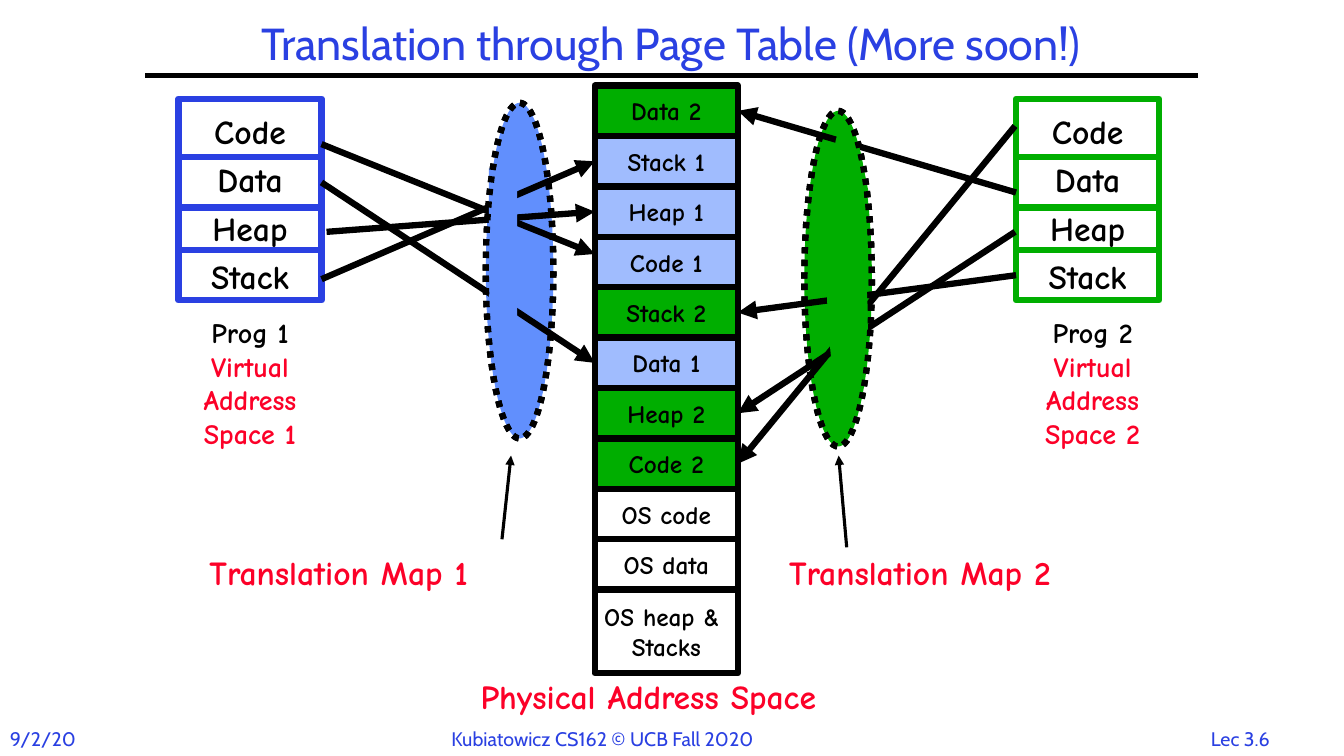
"""Build a slide on translating two virtual address spaces through page tables."""
from lxml import etree
from pptx import Presentation
from pptx.dml.color import RGBColor
from pptx.enum.dml import MSO_LINE
from pptx.enum.shapes import MSO_CONNECTOR, MSO_SHAPE
from pptx.enum.text import MSO_ANCHOR, MSO_AUTO_SIZE, PP_ALIGN
from pptx.oxml.ns import qn
from pptx.util import Inches, Pt

RECTANGLE, OVAL = MSO_SHAPE.RECTANGLE, MSO_SHAPE.OVAL
STRAIGHT = MSO_CONNECTOR.STRAIGHT
LEFT, CENTER = PP_ALIGN.LEFT, PP_ALIGN.CENTER
MIDDLE = MSO_ANCHOR.MIDDLE
FIT, FIXED = MSO_AUTO_SIZE.SHAPE_TO_FIT_TEXT, MSO_AUTO_SIZE.NONE
DOTTED = MSO_LINE.ROUND_DOT

BLACK, WHITE, RED = "000000", "FFFFFF", "FC0128"
BLUE, GREEN, MAP_BLUE, PALE_BLUE = "2A40E2", "00AE00", "618FFD", "A0BCFE"
HAND, SANS = "Comic Neue", "Cabin"

BOX_WIDTH = 1.42
MEMORY_LEFT, MEMORY_TOP, ROW = 5.9, 0.85, 0.5
MEMORY_RIGHT = MEMORY_LEFT + BOX_WIDTH
PROGRAM_TOP, PROGRAM_HEIGHT = 0.98, 2
MAP_WIDTH, MAP_HEIGHT = 0.67, 3.33


def paint(shape, fill=None, line=None, width=4.5, dash=None, arrow=False):
    """Set fill, outline and arrowhead from hex colours; fill '' means hollow."""
    if fill:
        shape.fill.solid()
        shape.fill.fore_color.rgb = RGBColor.from_string(fill)
    elif fill == "":
        shape.fill.background()
    if line:
        shape.line.color.rgb = RGBColor.from_string(line)
        shape.line.width = Pt(width)
    else:
        shape.line.fill.background()
    if dash:
        shape.line.dash_style = dash
    properties = shape._element.spPr
    if arrow:
        etree.SubElement(properties.find(qn("a:ln")), qn("a:tailEnd"), type="triangle")
    etree.SubElement(properties, qn("a:effectLst"))


def write(shape, text, size=24, font=HAND, bold=True, colors=(BLACK,), align=CENTER,
          spacing=None, anchor=None, fit=FIXED, wrap=False):
    """Write one paragraph per text line; the last colour serves all later lines."""
    frame = shape.text_frame
    frame.word_wrap, frame.auto_size = wrap, fit
    if anchor is not None:
        frame.vertical_anchor = anchor
    for index, line in enumerate(text.split("\n")):
        para = frame.add_paragraph() if index else frame.paragraphs[0]
        para.alignment, para.line_spacing = align, spacing
        span = para.add_run()
        span.text = line
        span.font.name, span.font.size, span.font.bold = font, Pt(size), bold
        span.font.color.rgb = RGBColor.from_string(colors[min(index, len(colors) - 1)])


deck = Presentation()
deck.slide_width, deck.slide_height = Inches(40 / 3), Inches(7.5)
page = deck.slides.add_slide(deck.slide_layouts[5])
shapes = page.shapes

title = shapes.title
title.left, title.top, title.width, title.height = map(Inches, (1.44, 0.17, 10.44, 0.58))
write(title, "Translation through Page Table (More soon!)", size=32, font=SANS, bold=False,
      colors=(BLUE,), spacing=0.9, anchor=MIDDLE, wrap=True)
rule = shapes.add_connector(STRAIGHT, *map(Inches, (1.44, 0.75, 11.89, 0.75)))
paint(rule, line=BLACK, width=3)

footers = [
    ("9/2/20", 0, 1, LEFT),
    ("Kubiatowicz CS162 © UCB Fall 2020", 4.38, 3.43, LEFT),
    ("Lec 3.6", 11.82, 0.97, CENTER),
]
for text, left, width, align in footers:
    footer = shapes.add_textbox(*map(Inches, (left, 7.16, width, 0.34)))
    write(footer, text, size=14, font=SANS, bold=False, colors=(BLUE,), align=align, fit=FIT)

translation_maps = [(7.98, 1.1, GREEN), (4.82, 1.02, MAP_BLUE)]
for left, top, color in translation_maps:
    oval = shapes.add_shape(OVAL, *map(Inches, (left, top, MAP_WIDTH, MAP_HEIGHT)))
    paint(oval, fill=color, line=BLACK, dash=DOTTED)

for number, left, label_left, color in [(1, 1.77, 1.82, BLUE), (2, 10.08, 10.18, GREEN)]:
    label = shapes.add_textbox(*map(Inches, (label_left, 3.08, 1.32, 1.45)))
    write(label, f"Prog {number}\nVirtual\nAddress\nSpace {number}", size=20,
          colors=(BLACK, RED), fit=FIT)
    program = shapes.add_group_shape().shapes
    box = program.add_shape(RECTANGLE, *map(Inches, (left, PROGRAM_TOP, BOX_WIDTH, PROGRAM_HEIGHT)))
    paint(box, fill=WHITE, line=color)
    write(box, "Code\nData\nHeap\nStack", spacing=1.2, anchor=MIDDLE)
    for y in (1.56, 2.06, 2.48):
        divider = program.add_connector(STRAIGHT, *map(Inches, (left, y, left + BOX_WIDTH, y)))
        paint(divider, line=color)

memory = shapes.add_group_shape().shapes
memory_rows = ["Data 2", "Stack 1", "Heap 1", "Code 1", "Stack 2", "Data 1", "Heap 2",
               "Code 2", "OS code", "OS data", "OS heap & \nStacks"]
owner_colors = {"1": PALE_BLUE, "2": GREEN}
for index, text in enumerate(memory_rows):
    height = 0.83 if "\n" in text else ROW
    cell = memory.add_shape(RECTANGLE, *map(Inches, (
        MEMORY_LEFT, MEMORY_TOP + index * ROW, BOX_WIDTH, height)))
    paint(cell, fill=owner_colors.get(text[-1], WHITE), line=BLACK)
    write(cell, text, size=18, anchor=MIDDLE)

mappings = [
    (3.19, 1.43, MEMORY_LEFT, 3.34),
    (3.19, 1.81, MEMORY_LEFT, 5.5),
    (3.24, 2.3, MEMORY_LEFT, 2.5),
    (3.19, 2.77, MEMORY_LEFT, 1.5),
    (10.07, 1.25, MEMORY_RIGHT, 7.5),
    (10.08, 1.91, MEMORY_RIGHT, 0.5),
    (10.07, 2.3, MEMORY_RIGHT, 6.5),
    (10.08, 2.73, MEMORY_RIGHT, 4.5),
]
for start_x, start_y, end_x, row in mappings:
    arrow = shapes.add_connector(STRAIGHT, *map(Inches, (
        start_x, start_y, end_x, MEMORY_TOP + row * ROW)))
    paint(arrow, line=BLACK, arrow=True)

covers = [
    (RECTANGLE, 4.85, 1.67, 0.28, 1.5, 0, MAP_BLUE),
    (RECTANGLE, 8.4, 1.43, 0.17, 0.5, 348.5, GREEN),
    (OVAL, 8.2, 1.2, 0.37, 2.83, 0, GREEN),
    (OVAL, 8.29, 2.3, 0.32, 1.83, 0, GREEN),
]
for kind, left, top, width, height, angle, color in covers:
    cover = shapes.add_shape(kind, *map(Inches, (left, top, width, height)))
    cover.rotation = angle
    paint(cover, fill=color)

for left, top, color in translation_maps:
    outline = shapes.add_shape(OVAL, *map(Inches, (left, top, MAP_WIDTH, MAP_HEIGHT)))
    paint(outline, fill="", line=BLACK, dash=DOTTED)

captions = [
    ("Translation Map 1", 1.98, 5.43, 3.15),
    ("Translation Map 2", 7.73, 5.43, 3.15),
    ("Physical Address Space", 4.67, 6.66, 4.08),
]
for text, left, top, width in captions:
    caption = shapes.add_textbox(*map(Inches, (left, top, width, 0.5)))
    write(caption, text, colors=(RED,), align=LEFT, fit=FIT)

for ends in [(4.98, 5.35, 5.07, 4.52), (8.4, 5.43, 8.32, 4.52)]:
    pointer = shapes.add_connector(STRAIGHT, *map(Inches, ends))
    paint(pointer, line=BLACK, width=2.25, arrow=True)

deck.save("out.pptx")
